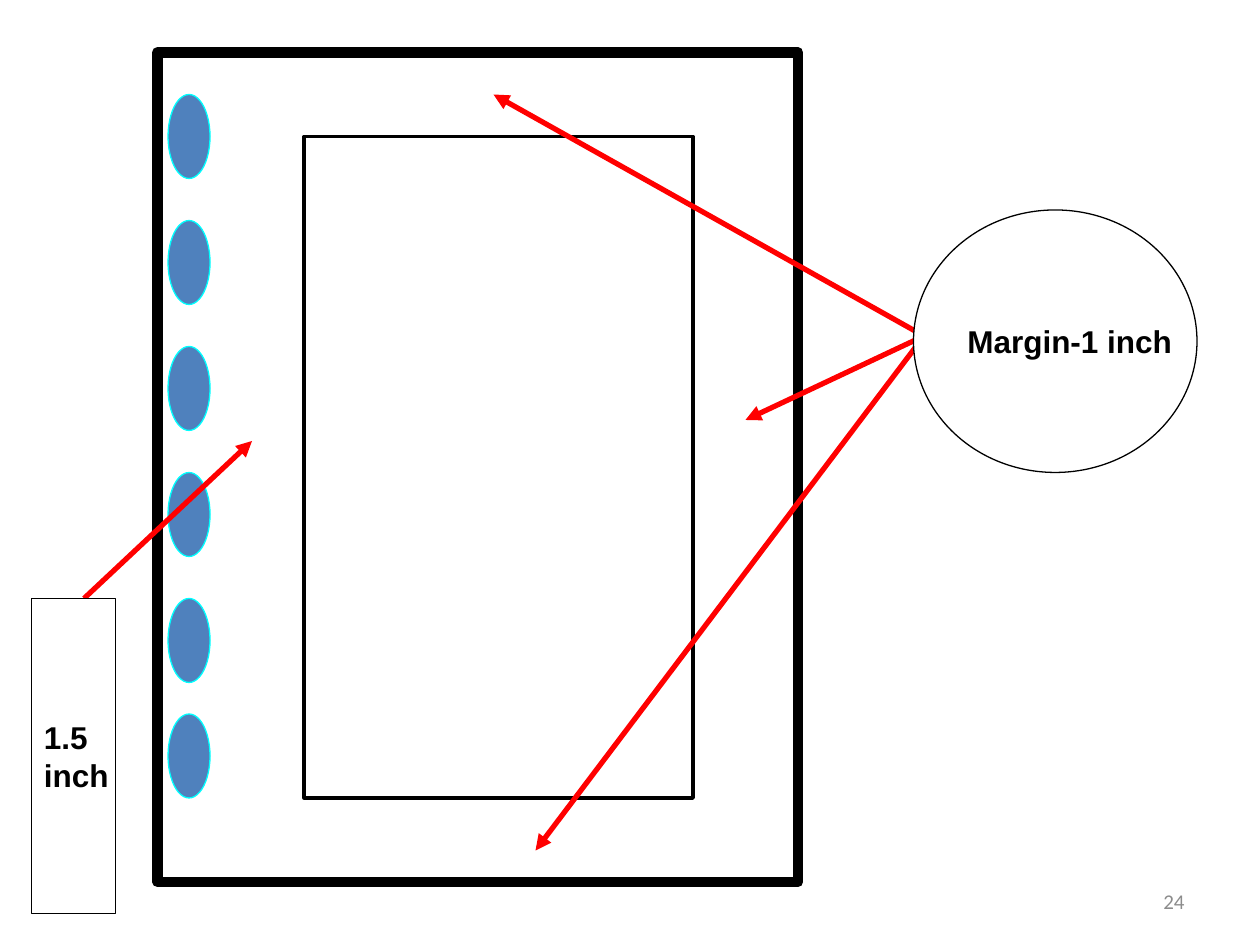
import pptx
import pptx.util
import pptx.dml.color
import pptx.enum.shapes
import pptx.enum.text
import pptx.oxml
import pptx.oxml.ns

SHAPE = pptx.enum.shapes.MSO_SHAPE
ALIGN = pptx.enum.text.PP_ALIGN

deck = pptx.Presentation()
deck.slide_width = pptx.util.Inches(10)
deck.slide_height = pptx.util.Inches(7.5)
page = deck.slides.add_slide(deck.slide_layouts[6])
column = deck.slide_width / 120
row = deck.slide_height / 90


def color(value):
    return pptx.dml.color.RGBColor.from_string(value)


def write(box, text, size=18, font="Arial", ink="000000", bold=True, align=ALIGN.LEFT, wrap=False):
    frame = box.text_frame
    frame.word_wrap = wrap
    frame.vertical_anchor = pptx.enum.text.MSO_ANCHOR.MIDDLE
    for index, line in enumerate(text.split("\n")):
        para = frame.add_paragraph() if index else frame.paragraphs[0]
        para.alignment = align
        span = para.add_run()
        span.text = line
        span.font.size = pptx.util.Pt(size)
        span.font.name = font
        span.font.bold = bold
        span.font.color.rgb = color(ink)


number = page.shapes.add_textbox(
    int(86 * column), int(83.4 * row), int(28 * column), int(4.8 * row))
write(number, "24", size=12, font="Calibri", ink="8C8C8C", bold=False, align=ALIGN.RIGHT, wrap=True)

sheet = (SHAPE.RECTANGLE, 15, 5, 61, 79, "FFFFFF", "000000", 6, "")
writing_area = (SHAPE.RECTANGLE, 29, 13, 37, 63, "FFFFFF", "000000", 2.25, "")
holes = [(SHAPE.OVAL, 16, top, 4, 8, "4F81BD", "00FFFF", 0.75, "")
         for top in (*range(9, 58, 12), 68)]
arrows = [(88, 32, 47, 9), (88, 32, 51, 81), (88, 32, 71, 40), (8, 57, 24, 42)]
labels = [(SHAPE.OVAL, 87, 20, 27, 25, "FFFFFF", "000000", 0.75, "Margin-1 inch"),
          (SHAPE.RECTANGLE, 3, 57, 8, 30, "FFFFFF", "000000", 0.75, "1.5\ninch")]

for item in [sheet, writing_area, *holes, *arrows, *labels]:
    if item in arrows:
        left, top, right, bottom = item
        arrow = page.shapes.add_connector(
            pptx.enum.shapes.MSO_CONNECTOR.STRAIGHT,
            int(left * column), int(top * row), int(right * column), int(bottom * row))
        arrow.line.color.rgb = color("FF0000")
        arrow.line.width = pptx.util.Pt(3)
        head = pptx.oxml.parse_xml(
            f'<a:tailEnd {pptx.oxml.ns.nsdecls("a")} type="triangle"/>')
        arrow.line._get_or_add_ln().append(head)
        arrow._element.spPr.append(
            pptx.oxml.parse_xml(f'<a:effectLst {pptx.oxml.ns.nsdecls("a")}/>'))
        continue
    kind, left, top, width, height, fill, outline, weight, text = item
    box = page.shapes.add_shape(
        kind, int(left * column), int(top * row), int(width * column), int(height * row))
    box.shadow.inherit = False
    box.fill.solid()
    box.fill.fore_color.rgb = color(fill)
    box.line.color.rgb = color(outline)
    box.line.width = pptx.util.Pt(weight)
    if text:
        write(box, text)

deck.save("out.pptx")
